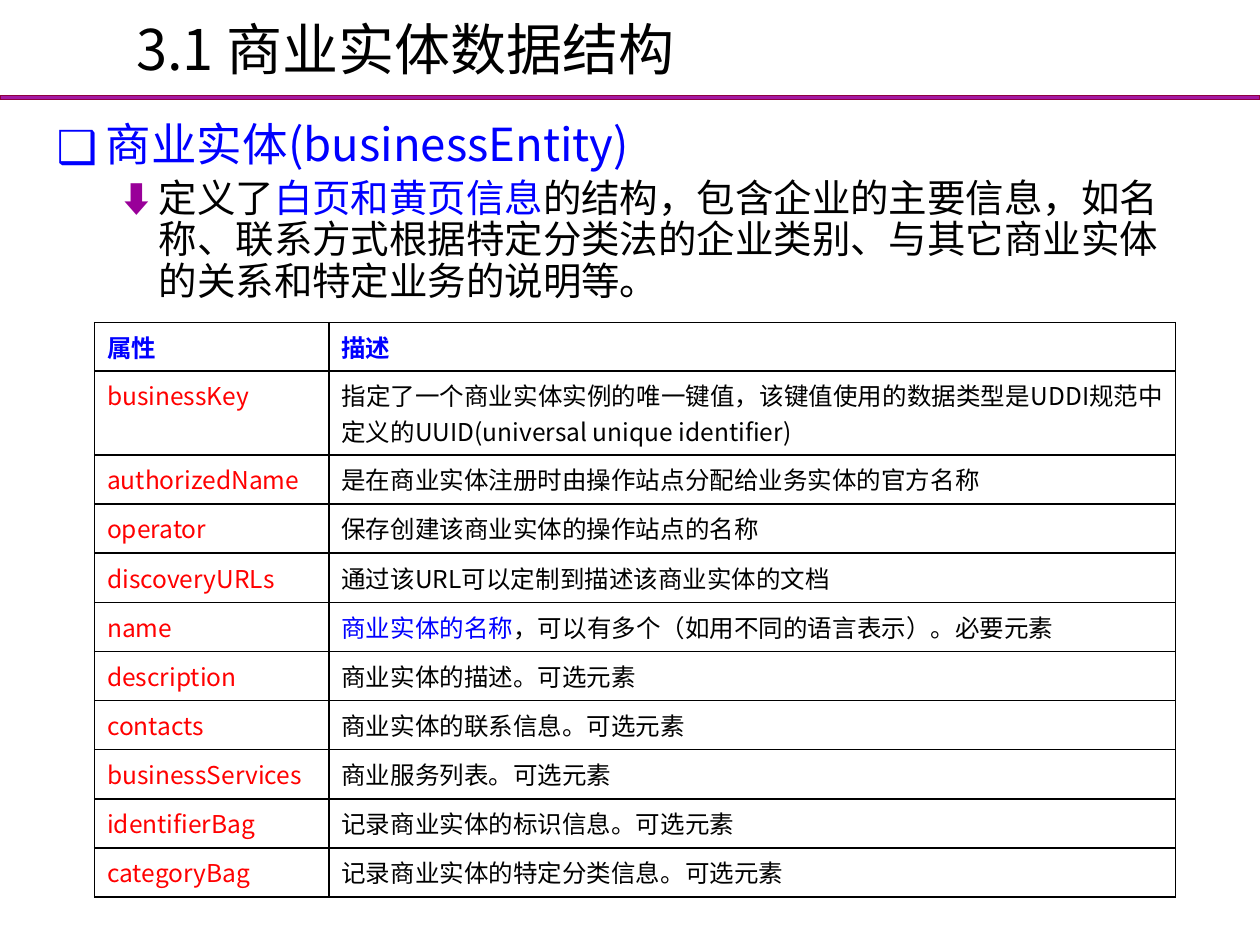
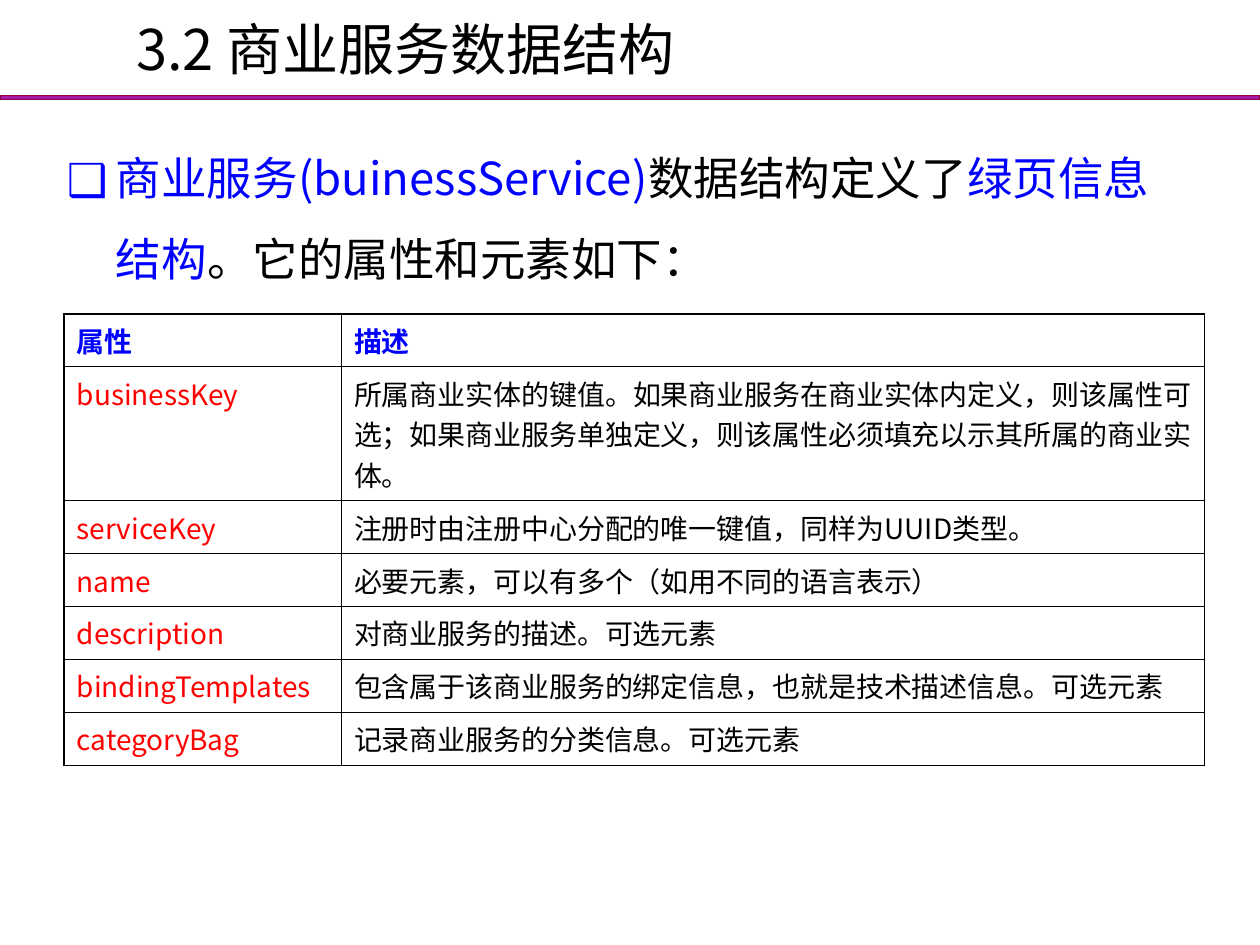
from dataclasses import dataclass

from lxml import etree
from pptx import Presentation
from pptx.dml.color import RGBColor
from pptx.enum.shapes import MSO_SHAPE
from pptx.enum.text import MSO_ANCHOR, MSO_AUTO_SIZE, PP_ALIGN
from pptx.oxml.ns import qn
from pptx.util import Inches, Pt

RECTANGLE = MSO_SHAPE.RECTANGLE
MIDDLE, TOP = MSO_ANCHOR.MIDDLE, MSO_ANCHOR.TOP
NO_AUTOFIT = MSO_AUTO_SIZE.NONE
LEFT, JUSTIFY = PP_ALIGN.LEFT, PP_ALIGN.JUSTIFY

GRID_COLS, GRID_ROWS = 100, 75
TITLE_AND_CONTENT = 1


@dataclass(frozen=True)
class Theme:
    font: str = "Noto Sans CJK SC"
    text: str = "000000"
    accent: str = "0000FF"
    attribute: str = "FF0000"
    band: str = "990099"
    band_edge: str = "8F0040"
    band_alpha: int = 90
    title_size: int = 32
    level_sizes: tuple = (26, 22)
    border: float = 1


@dataclass(frozen=True)
class Bullet:
    char: str
    color: str
    margin: float
    hanging: float
    percent: int = 100


THEME = Theme()
BULLETS = (
    Bullet("❑", THEME.accent, 0.39, 0.39),
    Bullet("⬇", THEME.band, 0.81, 0.31, 90),
)


class Deck:
    def __init__(self, theme):
        self.theme = theme
        self.prs = Presentation()
        self.prs.slide_width, self.prs.slide_height = Inches(10), Inches(7.5)
        self.slide = None

    def x(self, cols):
        return round(self.prs.slide_width * cols / GRID_COLS)

    def y(self, rows):
        return round(self.prs.slide_height * rows / GRID_ROWS)

    def box(self, left, top, width, height):
        return self.x(left), self.y(top), self.x(width), self.y(height)

    def place(self, sp, *cells):
        sp.left, sp.top, sp.width, sp.height = self.box(*cells)

    def add_text(self, p, text, size, color, bold=False):
        """Fill a paragraph; parts between asterisks take the accent colour."""
        for i, part in enumerate(text.split("*")):
            if not part:
                continue
            r = p.add_run()
            r.text = part
            r.font.size = Pt(size)
            r.font.bold = bold
            r.font.color.rgb = RGBColor.from_string(self.theme.accent if i % 2 else color)
            r.font.name = self.theme.font
            rPr = r._r.get_or_add_rPr()
            etree.SubElement(rPr, qn("a:ea"), typeface=self.theme.font)

    def start_slide(self, title):
        layout = self.prs.slide_layouts[TITLE_AND_CONTENT]
        self.slide = self.prs.slides.add_slide(layout)
        self.band()
        sp = self.slide.shapes.title
        self.place(sp, 9.8, 0, 90.2, 7.6)
        tf = sp.text_frame
        tf.auto_size = NO_AUTOFIT
        tf.vertical_anchor = MIDDLE
        p = tf.paragraphs[0]
        p.alignment = LEFT
        self.add_text(p, title, self.theme.title_size, self.theme.text)

    def band(self):
        sp = self.slide.shapes.add_shape(RECTANGLE, *self.box(0, 7.6, 100, 0.3))
        sp.shadow.inherit = False
        sp.fill.solid()
        sp.fill.fore_color.rgb = RGBColor.from_string(self.theme.band)
        color = sp.element.spPr.find(qn("a:solidFill"))[0]
        etree.SubElement(color, qn("a:alpha"), val=str(self.theme.band_alpha * 1000))
        sp.line.color.rgb = RGBColor.from_string(self.theme.band_edge)
        sp.line.width = Pt(0)

    def bullet(self, p, bullet):
        pPr = p._p.get_or_add_pPr()
        pPr.set("marL", str(Inches(bullet.margin)))
        pPr.set("indent", str(-Inches(bullet.hanging)))
        color = etree.SubElement(pPr, qn("a:buClr"))
        etree.SubElement(color, qn("a:srgbClr"), val=bullet.color)
        etree.SubElement(pPr, qn("a:buSzPct"), val=str(bullet.percent * 1000))
        etree.SubElement(pPr, qn("a:buFont"), typeface=self.theme.font)
        etree.SubElement(pPr, qn("a:buChar"), char=bullet.char)

    def body(self, cells, lines, spacing):
        """Add one bulleted paragraph per line, each a level deeper."""
        sp = self.slide.placeholders[1]
        self.place(sp, *cells)
        tf = sp.text_frame
        tf.auto_size = NO_AUTOFIT
        tf.vertical_anchor = TOP
        for level, line in enumerate(lines):
            p = tf.add_paragraph() if level else tf.paragraphs[0]
            p.level = level
            p.alignment = LEFT
            p.line_spacing = spacing
            self.bullet(p, BULLETS[level])
            self.add_text(p, line, self.theme.level_sizes[level], self.theme.text)

    def cell(self, cell, text, size, color, bold):
        tcPr = cell._tc.get_or_add_tcPr()
        for side in ("lnL", "lnR", "lnT", "lnB"):
            ln = etree.SubElement(tcPr, qn(f"a:{side}"), w=str(Pt(self.theme.border)))
            fill = etree.SubElement(ln, qn("a:solidFill"))
            etree.SubElement(fill, qn("a:srgbClr"), val=self.theme.text)
        cell.fill.background()
        p = cell.text_frame.paragraphs[0]
        p.alignment = JUSTIFY
        self.add_text(p, text, size, color, bold)

    def table(self, left, top, col_widths, entries, size):
        """Draw attributes and descriptions under a header row."""
        rows = [("属性", "描述"), *entries]
        heights = [3.6, 6.6] + [3.9] * (len(rows) - 2)
        area = self.box(left, top, sum(col_widths), sum(heights))
        table = self.slide.shapes.add_table(len(rows), len(col_widths), *area).table
        table.first_row = table.horz_banding = False
        for column, width in zip(table.columns, col_widths):
            column.width = self.x(width)
        for i, (row, height, texts) in enumerate(zip(table.rows, heights, rows)):
            row.height = self.y(height)
            header = i == 0
            colors = (self.theme.attribute, self.theme.text)
            if header:
                colors = (self.theme.accent,) * 2
            for cell, text, color in zip(row.cells, texts, colors):
                self.cell(cell, text, size, color, header)


ENTITY_FIELDS = (
    ("businessKey", "指定了一个商业实体实例的唯一键值，该键值使用的数据类型是UDDI规范"
                    "中定义的UUID(universal unique identifier)"),
    ("authorizedName", "是在商业实体注册时由操作站点分配给业务实体的官方名称"),
    ("operator", "保存创建该商业实体的操作站点的名称"),
    ("discoveryURLs", "通过该URL可以定制到描述该商业实体的文档"),
    ("name", "*商业实体的名称*，可以有多个（如用不同的语言表示）。必要元素"),
    ("description", "商业实体的描述。可选元素"),
    ("contacts", "商业实体的联系信息。可选元素"),
    ("businessServices", "商业服务列表。可选元素"),
    ("identifierBag", "记录商业实体的标识信息。可选元素"),
    ("categoryBag", "记录商业实体的特定分类信息。可选元素"),
)
SERVICE_FIELDS = (
    ("businessKey", "所属商业实体的键值。如果商业服务在商业实体内定义，则该属性可选；"
                    "如果商业服务单独定义，则该属性必须填充以示其所属的商业实体。"),
    ("serviceKey", "注册时由注册中心分配的唯一键值，同样为UUID类型。"),
    ("name", "必要元素，可以有多个（如用不同的语言表示）"),
    ("description", "对商业服务的描述。可选元素"),
    ("bindingTemplates", "包含属于该商业服务的绑定信息，也就是技术描述信息。可选元素"),
    ("categoryBag", "记录商业服务的分类信息。可选元素"),
)


def business_entity(deck):
    deck.start_slide("3.1 商业实体数据结构")
    deck.body((3.5, 9.2, 91.5, 16.5), (
        "*商业实体(businessEntity)*",
        "定义了*白页和黄页信息*的结构，包含企业的主要信息，如名称、联系方式"
        "根据特定分类法的企业类别、与其它商业实体的关系和特定业务的说明等。",
    ), spacing=0.9)
    deck.table(7.5, 25.6, (18.6, 67.2), ENTITY_FIELDS, size=14)


def business_service(deck):
    deck.start_slide("3.2 商业服务数据结构")
    deck.body((4.3, 9.2, 91.5, 59.8), (
        "*商业服务(buinessService)*数据结构定义了*绿页信息结构*。它的属性和元素如下：",
    ), spacing=1.5)
    deck.table(5.1, 24.9, (22, 68.5), SERVICE_FIELDS, size=16)


def main():
    deck = Deck(THEME)
    business_entity(deck)
    business_service(deck)
    deck.prs.save("out.pptx")


if __name__ == "__main__":
    main()
